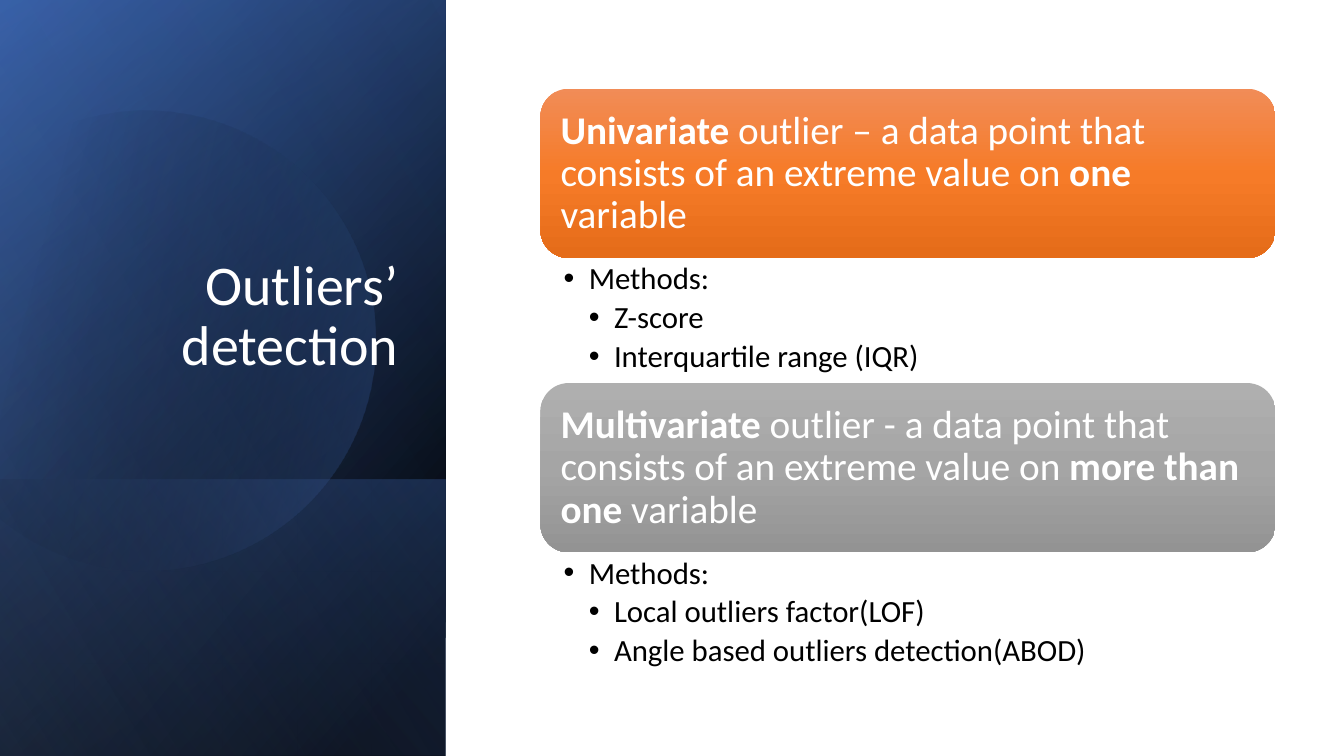
from math import cos, radians, sin

from lxml import etree
from pptx import Presentation
from pptx.dml.color import RGBColor
from pptx.enum.shapes import MSO_SHAPE
from pptx.enum.text import MSO_ANCHOR, PP_ALIGN
from pptx.oxml.ns import qn
from pptx.util import Pt

RECT, ROUND = MSO_SHAPE.RECTANGLE, MSO_SHAPE.ROUNDED_RECTANGLE
TOP, MIDDLE, BOTTOM = MSO_ANCHOR.TOP, MSO_ANCHOR.MIDDLE, MSO_ANCHOR.BOTTOM
LEFT, RIGHT = PP_ALIGN.LEFT, PP_ALIGN.RIGHT
PX = 9144  # 100 px to the inch

THEME = {
    "font": "Calibri",
    "title": 40, "head": 28, "body": 22,
    "white": "FFFFFF", "black": "000000",
    "navy": "2F5597", "blue": "4472C4", "sky": "8FAADC",
    "orange": ("F18C57", "F67B28", "E56C19"),
    "gray": ("AFAFAF", "A5A5A5", "939393"),
}
BLACK, BLUE = THEME["black"], THEME["blue"]


def paint(shape, stops, angle):
    """Fill with (position %, colour, opacity %) stops; angle runs clockwise."""
    shape.shadow.inherit = False
    shape.line.fill.background()
    shape.fill.gradient()
    shape.fill.gradient_angle = 360 - angle
    ramp = shape._element.spPr.find(".//" + qn("a:gsLst"))
    for old in list(ramp):
        ramp.remove(old)
    for pos, color, alpha in stops:
        stop = etree.SubElement(ramp, qn("a:gs"), pos=str(pos * 1000))
        tint = etree.SubElement(stop, qn("a:srgbClr"), val=color)
        if alpha < 100:
            etree.SubElement(tint, qn("a:alpha"), val=str(alpha * 1000))


def write(box, paras, size, color, anchor=TOP, align=LEFT,
          pads=(10, 5, 10, 5), after=0):
    """Add (level, text) paragraphs; *stars* mark bold, levels above 0 get bullets."""
    frame = slide.shapes.add_textbox(*[v * PX for v in box]).text_frame
    frame.word_wrap = True
    frame.vertical_anchor = anchor
    (frame.margin_left, frame.margin_top,
     frame.margin_right, frame.margin_bottom) = [v * PX for v in pads]
    for i, (level, words) in enumerate(paras):
        para = frame.add_paragraph() if i else frame.paragraphs[0]
        para.alignment = align
        para.line_spacing = 0.9
        para.space_after = Pt(after)
        if level:
            para.level = level
            props = para._p.get_or_add_pPr()
            props.set("marL", str(25 * level * PX))
            props.set("indent", str(-25 * PX))
            etree.SubElement(props, qn("a:buFont"), typeface="Arial")
            etree.SubElement(props, qn("a:buChar"), char="•")
        for j, part in enumerate(words.split("*")):
            if part:
                run = para.add_run()
                run.text = part
                font = run.font
                font.name, font.size, font.bold = THEME["font"], Pt(size), j % 2 == 1
                font.color.rgb = RGBColor.from_string(color)


deck = Presentation()
deck.slide_width, deck.slide_height = 1333 * PX, 750 * PX
slide = deck.slides.add_slide(deck.slide_layouts[6])

# Side panel: turned gradient layers with a cut disc among them
FULL = (-154, 154, 750, 442)
DISC = "disc"
layers = [
    (FULL, [(8, BLACK, 100), (100, THEME["navy"], 100)], 50),
    (FULL, [(0, BLACK, 0), (99, BLUE, 46)], 30),
    ((84, 392, 274, 442), [(2, BLUE, 29), (100, BLACK, 30)], 130),
    (DISC, [(29, BLACK, 0), (100, BLUE, 43)], 30),
    (FULL, [(0, BLACK, 0), (99, THEME["sky"], 11)], 120),
]
for box, stops, angle in layers:
    if box == DISC:
        mid_x, mid_y, radius = 144, 334, 228
        turns = [-118, -90, 0, 90, 150]
        rim = [(round((mid_x + radius * cos(radians(d))) * PX),
                round((mid_y + radius * sin(radians(d))) * PX)) for d in turns]
        pen = slide.shapes.build_freeform(*rim[0])
        pen.add_line_segments(rim[1:], close=True)
        layer = pen.convert_to_shape()
        layer.rotation = 343.9
        # Bend each straight side between rim points into an arc
        sides = list(layer._element.spPr.iter(qn("a:lnTo")))
        for side, start, end in zip(sides, turns, turns[1:]):
            bend = etree.Element(
                qn("a:arcTo"), wR=str(radius * PX), hR=str(radius * PX),
                stAng=str(start % 360 * 60000), swAng=str((end - start) * 60000))
            side.getparent().replace(side, bend)
    else:
        layer = slide.shapes.add_shape(RECT, *[v * PX for v in box])
        layer.rotation = 90
        layer._element.spPr.find(qn("a:xfrm")).set("flipH", "1")
    paint(layer, stops, angle)

write((64, 184, 341, 262), [(0, "Outliers’ detection")], THEME["title"],
      THEME["white"], anchor=BOTTOM, align=RIGHT, pads=(10, 5, 10, 71), after=6)

# Outlier kinds: a card with its list of methods
kinds = [
    (THEME["orange"],
     "*Univariate* outlier – a data point that consists of an extreme value on "
     "*one* variable",
     ["Z-score", "Interquartile range (IQR)"]),
    (THEME["gray"],
     "*Multivariate* outlier - a data point that consists of an extreme value on "
     "*more than one* variable",
     ["Local outliers factor(LOF)", "Angle based outliers detection(ABOD)"]),
]
for i, (shades, head, methods) in enumerate(kinds):
    top = 88 + 292 * i
    card = slide.shapes.add_shape(ROUND, *[v * PX for v in (536, top, 729, 168)])
    paint(card, [(50 * n, shade, 100) for n, shade in enumerate(shades)], 90)
    write((545, top + 9, 713, 152), [(0, head)], THEME["head"], THEME["white"],
          anchor=MIDDLE, pads=(11, 11, 11, 12))
    write((536, top + 169, 729, 124),
          [(1, "Methods:")] + [(2, name) for name in methods],
          THEME["body"], BLACK, pads=(23, 4, 22, 4), after=4)

deck.save("out.pptx")
